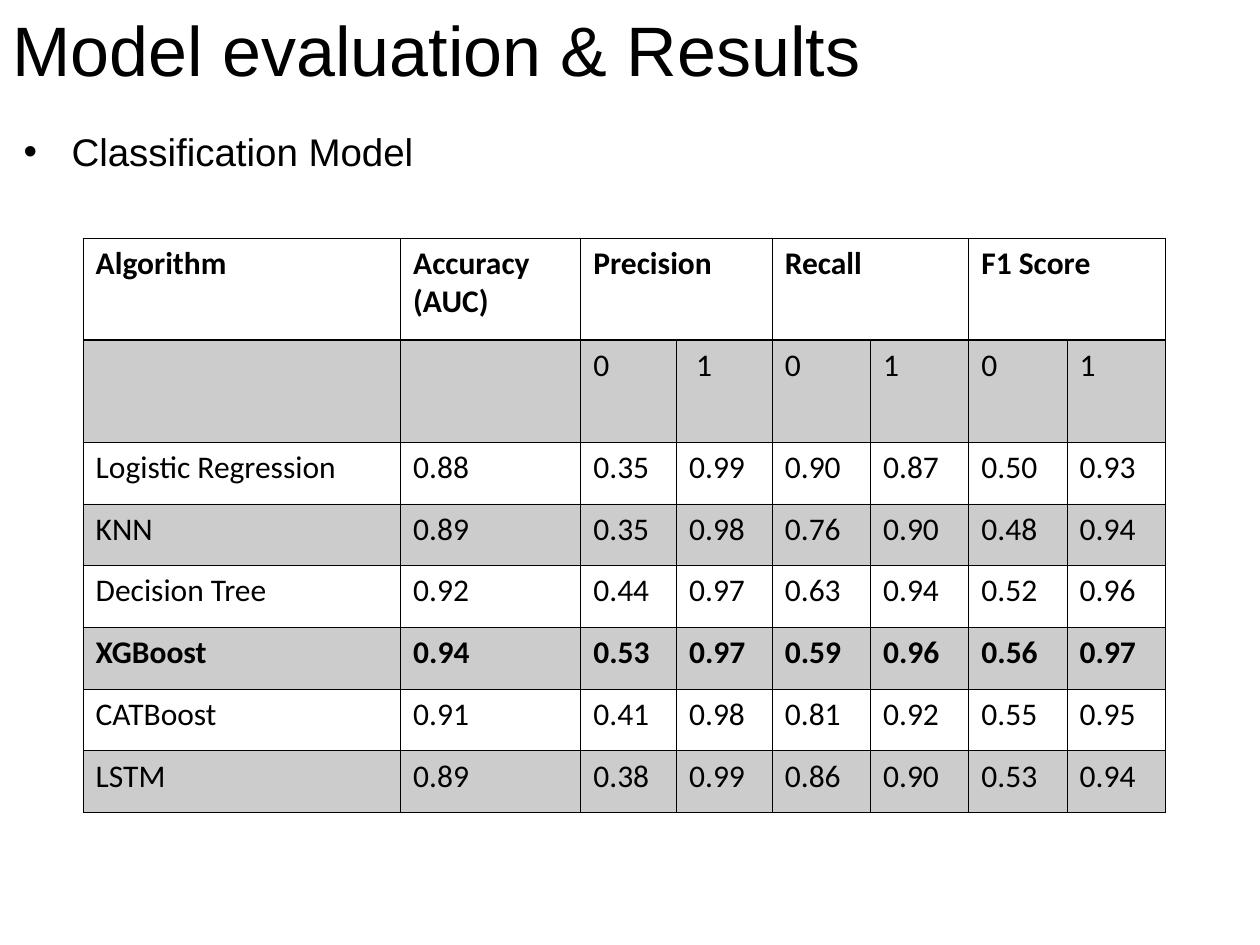
from dataclasses import dataclass
from typing import Any

from lxml import etree
from pptx import Presentation
from pptx.dml.color import RGBColor
from pptx.enum.text import MSO_ANCHOR, MSO_AUTO_SIZE, PP_ALIGN
from pptx.oxml.ns import qn
from pptx.util import Emu, Inches, Pt

TOP, LEFT = MSO_ANCHOR.TOP, PP_ALIGN.LEFT
NO_FIT, GROW = MSO_AUTO_SIZE.NONE, MSO_AUTO_SIZE.SHAPE_TO_FIT_TEXT
TITLE_ONLY = 5
BLACK = "000000"
BAND_ALPHA = 20
THIN, HEAVY = 0.45, 0.96
UNIT = Inches(0.1)


@dataclass(frozen=True)
class Box:
    col: float
    row: float
    cols: float
    rows: float


@dataclass(frozen=True)
class Result:
    algorithm: str
    scores: tuple[str, ...]
    best: bool = False


TITLE_BOX = Box(0, 0, 85, 9)
BULLET_BOX = Box(0.9, 9.7, 59.3, 8.4)
TABLE_BOX = Box(6.6, 18.9, 85.9, 45.6)
COLUMN_UNITS = [25.2, 14.3] + [7.6] * 2 + [7.8] * 4
ROW_UNITS = [8.1] * 2 + [4.9] * 6
HEADERS = {0: "Algorithm", 1: "Accuracy\n(AUC)", 2: "Precision", 4: "Recall", 6: "F1 Score"}
FIRST_CLASS_COLUMN = 2
RESULTS = [
    Result("Logistic Regression", ("0.88", "0.35", "0.99", "0.90", "0.87", "0.50", "0.93")),
    Result("KNN", ("0.89", "0.35", "0.98", "0.76", "0.90", "0.48", "0.94")),
    Result("Decision Tree", ("0.92", "0.44", "0.97", "0.63", "0.94", "0.52", "0.96")),
    Result("XGBoost", ("0.94", "0.53", "0.97", "0.59", "0.96", "0.56", "0.97"), True),
    Result("CATBoost", ("0.91", "0.41", "0.98", "0.81", "0.92", "0.55", "0.95")),
    Result("LSTM", ("0.89", "0.38", "0.99", "0.86", "0.90", "0.53", "0.94")),
]


def units(n: float) -> Emu:
    return Emu(round(n * UNIT))


def rgb(color: str) -> RGBColor:
    return RGBColor.from_string(color)


def place(box: Box) -> tuple[Emu, Emu, Emu, Emu]:
    return units(box.col), units(box.row), units(box.cols), units(box.rows)


def assign(target: Any, values: dict[str, Any]) -> None:
    for name, value in values.items():
        setattr(target, name, value)


def write(tf: Any, text: str, font: str, size: float, bold: bool = False) -> None:
    tf.text = text
    for p in tf.paragraphs:
        p.alignment = LEFT
        for r in p.runs:
            assign(r.font, {"name": font, "size": Pt(size), "bold": bold})
            r.font.color.rgb = rgb(BLACK)


def add_title(s: Any, text: str) -> None:
    sp = s.shapes.title
    assign(sp, dict(zip(("left", "top", "width", "height"), place(TITLE_BOX))))
    assign(sp.text_frame, {"word_wrap": True, "vertical_anchor": TOP, "auto_size": NO_FIT})
    write(sp.text_frame, text, "Arial", 40)


def add_bullet(s: Any, text: str) -> None:
    tf = s.shapes.add_textbox(*place(BULLET_BOX)).text_frame
    assign(tf, {"word_wrap": True, "auto_size": GROW})
    write(tf, text, "Arial", 22)
    pPr = tf.paragraphs[0]._p.get_or_add_pPr()
    pPr.set("marL", str(units(3.8)))
    pPr.set("indent", str(units(-3.8)))
    etree.SubElement(pPr, qn("a:buFont"), typeface="Arial")
    etree.SubElement(pPr, qn("a:buChar"), char="•")


def add_border(cell: Any, side: str, width: float) -> None:
    ln = etree.SubElement(cell._tc.get_or_add_tcPr(), qn(f"a:ln{side}"), w=str(Pt(width)))
    fill = etree.SubElement(ln, qn("a:solidFill"))
    etree.SubElement(fill, qn("a:srgbClr"), val=BLACK)


def style_cell(cell: Any, row: int) -> None:
    widths = {"L": THIN, "R": THIN,
              "T": HEAVY if row == 1 else THIN,
              "B": HEAVY if row == 0 else THIN}
    for side, width in widths.items():
        add_border(cell, side, width)
    if row % 2 == 0:
        cell.fill.background()
        return
    cell.fill.solid()
    cell.fill.fore_color.rgb = rgb(BLACK)
    color = cell._tc.tcPr.find(".//" + qn("a:solidFill") + "[last()]")
    color = cell._tc.tcPr.findall(qn("a:solidFill"))[-1][0]
    etree.SubElement(color, qn("a:alpha"), val=str(BAND_ALPHA * 1000))


def add_results_table(s: Any) -> None:
    n_rows, n_cols = len(ROW_UNITS), len(COLUMN_UNITS)
    table = s.shapes.add_table(n_rows, n_cols, *place(TABLE_BOX)).table
    assign(table, {"first_row": False, "horz_banding": False})
    for column, width in zip(table.columns, COLUMN_UNITS):
        column.width = units(width)
    for row, height in zip(table.rows, ROW_UNITS):
        row.height = units(height)
    for i in range(n_rows):
        for j in range(n_cols):
            style_cell(table.cell(i, j), i)

    for j, header in HEADERS.items():
        write(table.cell(0, j).text_frame, header, "Calibri", 18, True)
    for j in range(FIRST_CLASS_COLUMN, n_cols):
        write(table.cell(1, j).text_frame, str(j % 2), "Calibri", 18)
        if j % 2 == 0:
            table.cell(0, j).merge(table.cell(0, j + 1))
    table.cell(1, FIRST_CLASS_COLUMN + 1).margin_left = units(1.56)
    for i, result in enumerate(RESULTS, start=2):
        for j, text in enumerate((result.algorithm, *result.scores)):
            write(table.cell(i, j).text_frame, text, "Calibri", 18, result.best)


def main() -> None:
    prs = Presentation()
    assign(prs, {"slide_width": units(100), "slide_height": units(75)})
    s = prs.slides.add_slide(prs.slide_layouts[TITLE_ONLY])
    add_title(s, "Model evaluation & Results")
    add_bullet(s, "Classification Model")
    add_results_table(s)
    prs.save("out.pptx")


if __name__ == "__main__":
    main()
